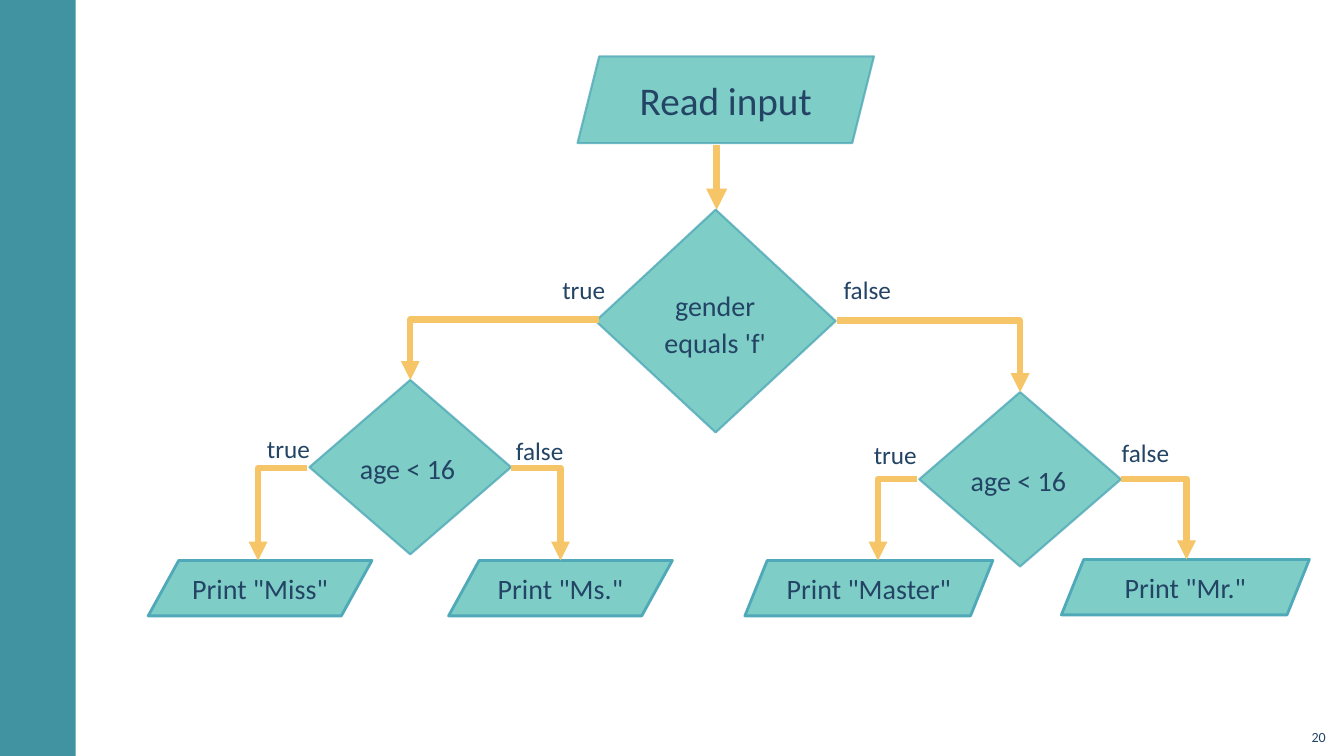
from lxml.etree import SubElement
from pptx import Presentation
from pptx.dml.color import RGBColor
from pptx.enum.shapes import MSO_CONNECTOR, MSO_SHAPE
from pptx.enum.text import MSO_ANCHOR, PP_ALIGN
from pptx.oxml.ns import qn
from pptx.util import Inches, Pt

COLORS = {"band": "4193A1", "fill": "5EC1B8", "outline": "50A9B8",
          "arrow": "F5C567", "text": "234465"}
UNIT = Inches(0.1)  # one grid column or row
COLUMNS, ROWS = 133.33, 75

deck = Presentation()
deck.slide_width, deck.slide_height = int(COLUMNS * UNIT), int(ROWS * UNIT)
page = deck.slides.add_slide(deck.slide_layouts[6])


def add_box(bounds, text="", size=20, preset=None, line_width=1.5, line_alpha=80,
            align=PP_ALIGN.LEFT, anchor=MSO_ANCHOR.TOP):
    """Add a flowchart shape, or a plain text box when no preset is given."""
    place = [int(value * UNIT) for value in bounds]
    if preset is None:
        box = page.shapes.add_textbox(*place)
    else:
        box = page.shapes.add_shape(preset, *place)
        box.shadow.inherit = False
        box.line.width = Pt(line_width)
        for paint, color, alpha in ((box.fill, "fill", 80),
                                    (box.line.fill, "outline", line_alpha)):
            paint.solid()
            paint.fore_color.rgb = RGBColor.from_string(COLORS[color])
        for srgb, alpha in zip(box._element.spPr.iter(qn("a:srgbClr")), (80, line_alpha)):
            SubElement(srgb, qn("a:alpha"), val=str(alpha * 1000))
    frame = box.text_frame
    frame.word_wrap = True
    frame.vertical_anchor = anchor
    paragraph = frame.paragraphs[0]
    paragraph.text = text
    paragraph.alignment = align
    paragraph.font.size = Pt(size)
    paragraph.font.name = "Calibri"
    paragraph.font.color.rgb = RGBColor.from_string(COLORS["text"])
    return box


def add_arrow(start_x, start_y, end_x, end_y, width=4.5):
    """Add an arrow that runs sideways first, then down."""
    bent = start_x != end_x
    kind = MSO_CONNECTOR.ELBOW if bent else MSO_CONNECTOR.STRAIGHT
    arrow = page.shapes.add_connector(
        kind, *(int(value * UNIT) for value in (start_x, start_y, end_x, end_y)))
    properties = arrow._element.spPr
    if bent:
        properties.find(qn("a:prstGeom")).set("prst", "bentConnector2")
    if end_x < start_x:
        transform = properties.find(qn("a:xfrm"))
        del transform.attrib["flipH"]
        transform.set("rot", "10800000")
        transform.set("flipV", "1")
    arrow.line.width = Pt(width)
    arrow.line.color.rgb = RGBColor.from_string(COLORS["arrow"])
    SubElement(arrow.line._get_or_add_ln(), qn("a:tailEnd"), type="triangle")
    SubElement(properties, qn("a:effectLst"))


band = page.shapes.add_shape(MSO_SHAPE.RECTANGLE, 0, 0, int(7.5 * UNIT), deck.slide_height)
band.shadow.inherit = False
band.fill.solid()
band.fill.fore_color.rgb = RGBColor.from_string(COLORS["band"])
band.line.fill.background()

add_arrow(71.1, 14.4, 71.1, 20.8, width=5)
add_box((57.3, 5.6, 29.4, 8.6), "Read input", 28, MSO_SHAPE.PARALLELOGRAM,
        align=PP_ALIGN.CENTER, anchor=MSO_ANCHOR.MIDDLE)

# Outputs: word, left, top, width, slant
outputs = [("Miss", 14.7, 55.6, 22.2, 0.552), ("Ms.", 44.5, 55.6, 22.2, 0.552),
           ("Master", 73.9, 55.6, 24.6, 0.403), ("Mr.", 105.3, 55.5, 24.6, 0.403)]
for word, left, top, width, slant in outputs:
    output = add_box((left, top, width, 5.5), f'Print "{word}"', 20,
                     MSO_SHAPE.PARALLELOGRAM, line_width=2, line_alpha=100,
                     align=PP_ALIGN.CENTER, anchor=MSO_ANCHOR.MIDDLE)
    output.adjustments[0] = slant

# Decisions: question, diamond bounds, text bounds, alignment
decisions = [
    ("gender\nequals 'f'", (59.1, 20.8, 23.8, 22.1), (60.6, 27.1, 20.7, 9.6), PP_ALIGN.CENTER),
    ("age < 16", (30.7, 37.7, 20, 17.3), (34.1, 43.3, 14.5, 5.9), PP_ALIGN.LEFT),
    ("age < 16", (91.2, 38.9, 20, 17.3), (94.7, 44.4, 14.5, 5.9), PP_ALIGN.LEFT),
]
for question, diamond, area, align in decisions:
    add_box(diamond, preset=MSO_SHAPE.DIAMOND)
    frame = add_box(area, question, align=align).text_frame
    frame.margin_left = frame.margin_right = Inches(0.16)
    frame.margin_top = frame.margin_bottom = Inches(0.12)
    frame.paragraphs[0].line_spacing = 1.1

# Branches: label, its left and top, then the arrow's start and end
branches = [
    ("true", 54.8, 26.7, (59.4, 31.7, 40.7, 37.7)),
    ("false", 82.7, 26.7, (83, 31.8, 101.2, 38.9)),
    ("true", 25.5, 42.5, (30.5, 46.4, 25.6, 55.6)),
    ("false", 50.2, 42.7, (50.7, 46.4, 55.6, 55.6)),
    ("true", 85.7, 43.1, (91, 47.5, 87.1, 55.6)),
    ("false", 110.3, 42.9, (111.2, 47.5, 117.7, 55.5)),
]
for label, left, top, route in branches:
    add_box((left, top, 8.4, 5), label, 18)
    add_arrow(*route)

add_box((128.5, 71.2, 4, 3.2), "20", 10, align=PP_ALIGN.RIGHT, anchor=MSO_ANCHOR.BOTTOM)

deck.save("out.pptx")
